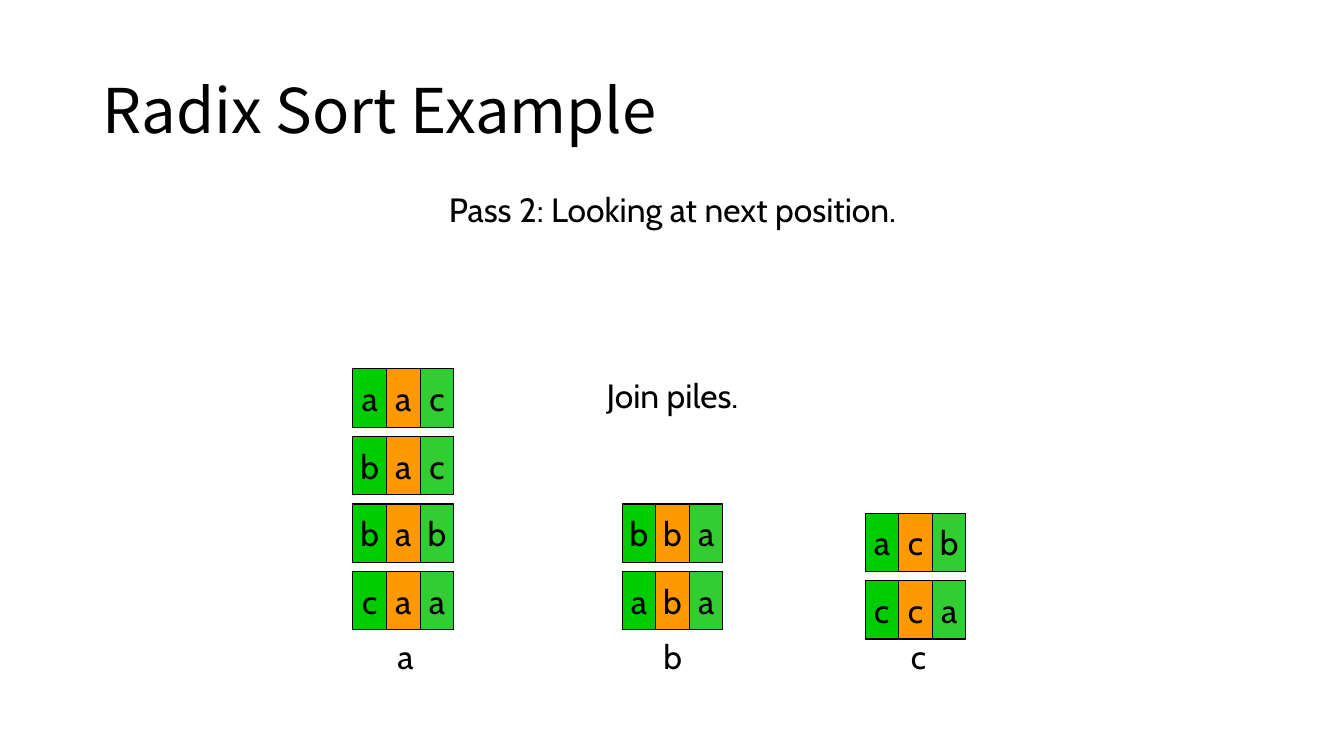
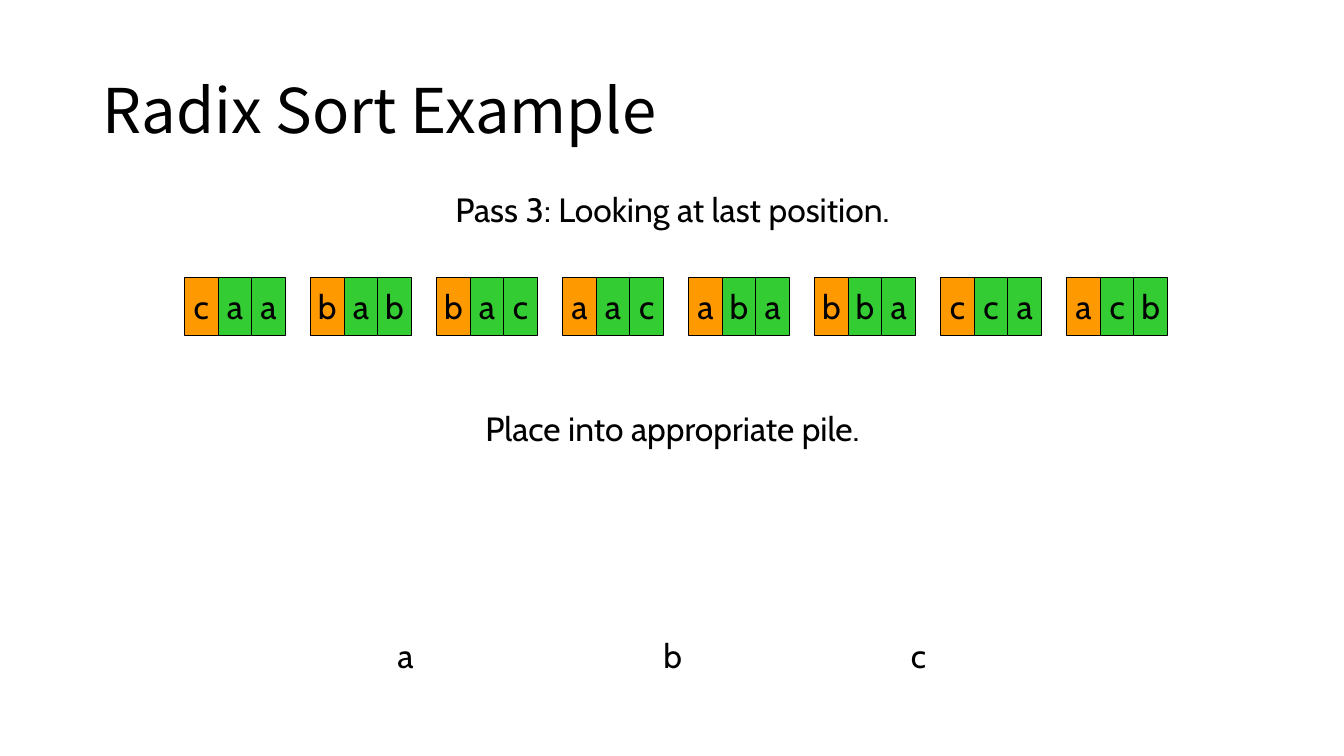
"""Build two slides that show passes of a radix sort on three-letter words."""
from pptx import Presentation
from pptx.dml.color import RGBColor
from pptx.enum.shapes import MSO_SHAPE
from pptx.enum.text import MSO_ANCHOR, MSO_AUTO_SIZE, PP_ALIGN
from pptx.util import Inches, Pt

COLORS = {
    "ink": "000000",
    "waiting": "00CC00",
    "current": "FF9900",
    "done": "33CC33",
}
TITLE_FONT = "Noto Sans CJK KR"
BODY_FONT = "Cabin"
CELL_WIDTH = 1 / 3
CELL_HEIGHT = 0.58
PILE_STEP = 0.67
ROW_STEP = 1.25
CENTER = 6.67


def add_label(shapes, text, center, top, width):
    label = shapes.add_textbox(Inches(center - width / 2), Inches(top), Inches(width), Inches(0.5))
    frame = label.text_frame
    frame.text = text
    frame.word_wrap = False
    frame.auto_size = MSO_AUTO_SIZE.SHAPE_TO_FIT_TEXT
    paragraph = frame.paragraphs[0]
    paragraph.alignment = PP_ALIGN.CENTER
    font = paragraph.runs[0].font
    font.name, font.size = BODY_FONT, Pt(24)
    font.color.rgb = RGBColor.from_string(COLORS["ink"])


def add_word(shapes, word, left, top, states):
    group = shapes.add_group_shape()
    for index, (letter, state) in enumerate(zip(word, states)):
        cell = group.shapes.add_shape(
            MSO_SHAPE.RECTANGLE,
            Inches(left + index * CELL_WIDTH), Inches(top), Inches(CELL_WIDTH), Inches(CELL_HEIGHT),
        )
        cell.shadow.inherit = False
        cell.fill.solid()
        cell.fill.fore_color.rgb = RGBColor.from_string(COLORS[state])
        cell.line.color.rgb = RGBColor.from_string(COLORS["ink"])
        cell.line.width = Pt(0.75)
        frame = cell.text_frame
        frame.text = letter
        frame.word_wrap = False
        frame.vertical_anchor = MSO_ANCHOR.MIDDLE
        paragraph = frame.paragraphs[0]
        paragraph.alignment = PP_ALIGN.CENTER
        font = paragraph.runs[0].font
        font.name, font.size = BODY_FONT, Pt(24)
        font.color.rgb = RGBColor.from_string(COLORS["ink"])


presentation = Presentation()
presentation.slide_width = Inches(13.33)
presentation.slide_height = Inches(7.5)

passes = [
    {
        "heading": ("Pass 2: Looking at next position.", 4.99),
        "action": ("Join piles.", 3.67, 1.65),
        "states": ("waiting", "current", "done"),
        "label_top": 6.26,
        "piles": [
            (3.5, 5.67, ["caa", "bab", "bac", "aac"]),
            (6.17, 5.67, ["aba", "bba"]),
            (8.58, 5.76, ["cca", "acb"]),
        ],
        "row": [],
    },
    {
        "heading": ("Pass 3: Looking at last position.", 4.86),
        "action": ("Place into appropriate pile.", 4, 4.13),
        "states": ("current", "done", "done"),
        "label_top": 6.25,
        "piles": [],
        "row": ["caa", "bab", "bac", "aac", "aba", "bba", "cca", "acb"],
    },
]

for sort_pass in passes:
    slide = presentation.slides.add_slide(presentation.slide_layouts[6])
    shapes = slide.shapes

    title = shapes.add_textbox(Inches(0.92), Inches(0.4), Inches(11.5), Inches(1.45))
    frame = title.text_frame
    frame.text = "Radix Sort Example"
    frame.word_wrap = True
    frame.vertical_anchor = MSO_ANCHOR.MIDDLE
    paragraph = frame.paragraphs[0]
    paragraph.line_spacing = 0.9
    font = paragraph.runs[0].font
    font.name, font.size = TITLE_FONT, Pt(44)
    font.color.rgb = RGBColor.from_string(COLORS["ink"])

    heading, heading_width = sort_pass["heading"]
    add_label(shapes, heading, CENTER, 1.83, heading_width)
    action, action_top, action_width = sort_pass["action"]
    add_label(shapes, action, CENTER, action_top, action_width)

    for left, bottom_top, words in sort_pass["piles"]:
        for level, word in enumerate(words):
            add_word(shapes, word, left, bottom_top - level * PILE_STEP, sort_pass["states"])

    for column, word in enumerate(sort_pass["row"]):
        add_word(shapes, word, 1.83 + column * ROW_STEP, 2.75, sort_pass["states"])

    for letter, center in (("a", 4.02), ("b", CENTER), ("c", 9.11)):
        add_label(shapes, letter, center, sort_pass["label_top"], 0.38)

presentation.save("out.pptx")
